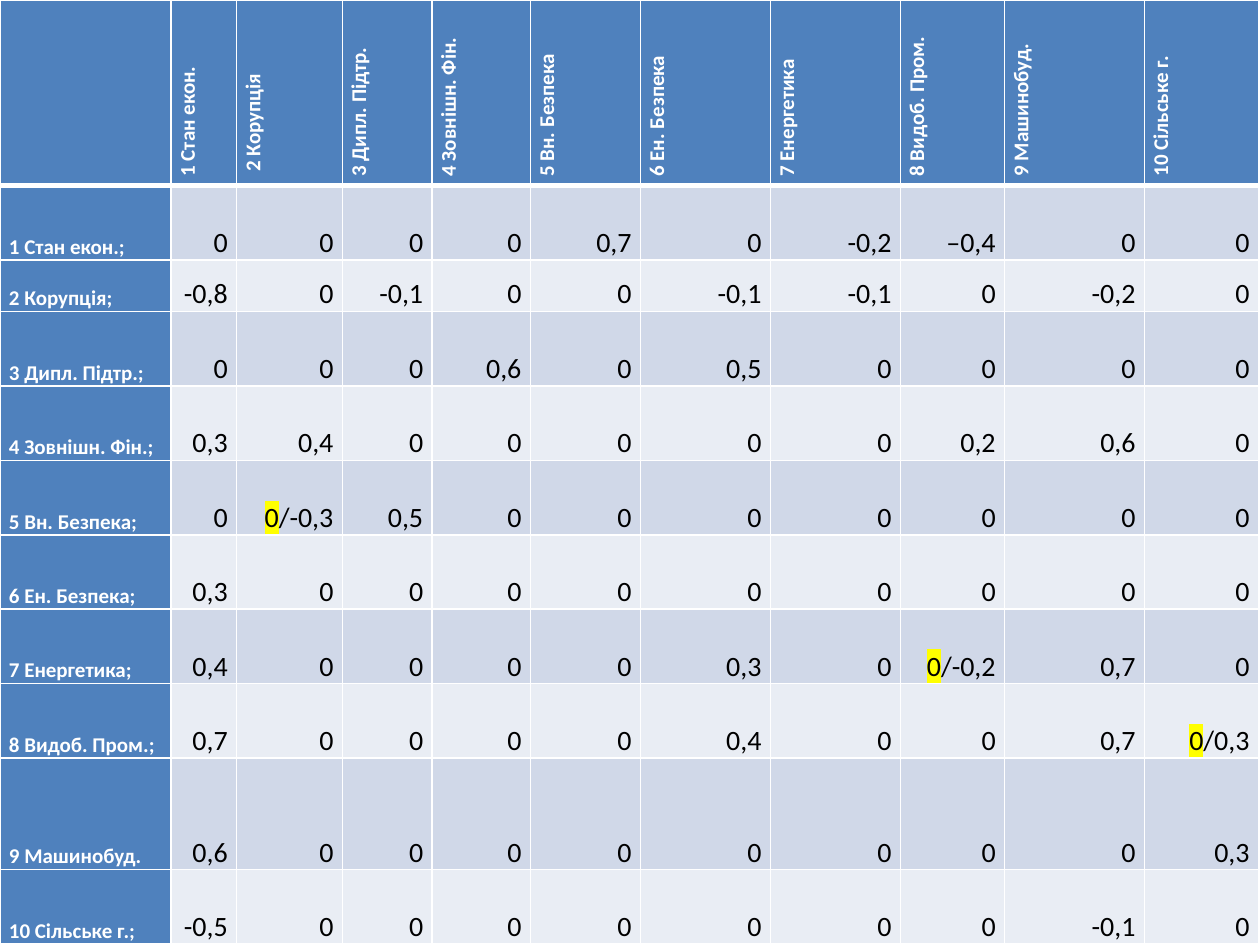
"""Build a slide with a matrix of mutual influence between ten economic factors."""
import dataclasses

import pptx
import pptx.dml.color
import pptx.enum.text
import pptx.oxml
import pptx.oxml.ns
import pptx.table
import pptx.text.text
import pptx.util

Cm = pptx.util.Cm
Pt = pptx.util.Pt


@dataclasses.dataclass(frozen=True)
class Theme:
    font: str = "Calibri"
    heading: str = "4F81BD"
    bands: tuple[str, str] = ("D0D8E8", "E9EDF4")
    light: str = "FFFFFF"
    dark: str = "000000"
    highlight: str = "FFFF00"
    heading_size: int = 12
    value_size: int = 16
    thin: float = 1
    thick: float = 3
    line_spacing: float = 1.15
    inset: float = 0.18


@dataclasses.dataclass(frozen=True)
class Factor:
    column_title: str
    row_title: str
    weights: str
    width: float
    height: float = 1.5


THEME = Theme()
PAGE_WIDTH, PAGE_HEIGHT = 25.4, 19.05
TITLE_WIDTH, TITLE_HEIGHT = 3.45, 3.74
FACTORS = [
    Factor("1 Стан екон.", "1 Стан екон.;", "0 0 0 0 0,7 0 -0,2 –0,4 0 0", 1.32),
    Factor(" 2 Корупція", "2 Корупція;", "-0,8 0 -0,1 0 0 -0,1 -0,1 0 -0,2 0", 2.13, 1.04),
    Factor("3 Дипл. Підтр.", "3 Дипл. Підтр.;", "0 0 0 0,6 0 0,5 0 0 0 0", 1.81),
    Factor("4 Зовнішн. Фін.", "4 Зовнішн. Фін.;", "0,3 0,4 0 0 0 0 0 0,2 0,6 0", 1.98),
    Factor("5 Вн. Безпека", "5 Вн. Безпека;", "0 0/-0,3 0,5 0 0 0 0 0 0 0", 2.22),
    Factor("6 Ен. Безпека", "6 Ен. Безпека;", "0,3 0 0 0 0 0 0 0 0 0", 2.62),
    Factor("7 Енергетика", "7 Енергетика;", "0,4 0 0 0 0 0,3 0 0/-0,2 0,7 0", 2.62),
    Factor("8 Видоб. Пром.", "8 Видоб. Пром.;", "0,7 0 0 0 0 0,4 0 0 0,7 0/0,3", 2.1),
    Factor("9 Машинобуд.", "9 Машинобуд.", "0,6 0 0 0 0 0 0 0 0 0,3", 2.82, 2.25),
    Factor("10 Сільське г.", "10 Сільське г.;", "-0,5 0 0 0 0 0 0 0 -0,1 0", 2.3),
]


def color(value: str) -> pptx.dml.color.RGBColor:
    """Turn a hexadecimal string into a colour."""
    return pptx.dml.color.RGBColor.from_string(value)


def draw_borders(cell: pptx.table._Cell, top: float, bottom: float) -> None:
    """Draw the four white borders of a cell."""
    properties = cell._tc.get_or_add_tcPr()
    for side, width in (("L", THEME.thin), ("R", THEME.thin), ("T", top), ("B", bottom)):
        properties.append(pptx.oxml.parse_xml(
            f'<a:ln{side} {pptx.oxml.ns.nsdecls("a")} w="{Pt(width)}"><a:solidFill>'
            f'<a:srgbClr val="{THEME.light}"/></a:solidFill></a:ln{side}>'))


def highlight(span: pptx.text.text._Run) -> None:
    """Mark a run with the highlight colour."""
    fill = span._r.get_or_add_rPr().find(pptx.oxml.ns.qn("a:solidFill"))
    fill.addnext(pptx.oxml.parse_xml(
        f'<a:highlight {pptx.oxml.ns.nsdecls("a")}>'
        f'<a:srgbClr val="{THEME.highlight}"/></a:highlight>'))


def write_cell(cell: pptx.table._Cell, text: str, is_heading: bool) -> None:
    """Write a heading or a value, highlighting the first part of a paired value."""
    cell.vertical_anchor = pptx.enum.text.MSO_ANCHOR.BOTTOM
    cell.margin_left = cell.margin_right = Cm(THEME.inset)
    cell.margin_top = cell.margin_bottom = 0
    para = cell.text_frame.paragraphs[0]
    para.line_spacing = THEME.line_spacing
    if not is_heading:
        para.alignment = pptx.enum.text.PP_ALIGN.RIGHT
    before, slash, after = text.partition("/")
    for part in filter(None, (before, slash + after)):
        span = para.add_run()
        span.text = part
        span.font.name = THEME.font
        span.font.size = Pt(THEME.heading_size if is_heading else THEME.value_size)
        span.font.bold = is_heading
        span.font.color.rgb = color(THEME.light if is_heading else THEME.dark)
    if slash:
        highlight(para.runs[0])


def fill_table(table: pptx.table.Table, widths: list[float], heights: list[float]) -> None:
    """Size the table and fill every cell from the factors."""
    for column, width in zip(table.columns, widths):
        column.width = Cm(width)
    for row, height in zip(table.rows, heights):
        row.height = Cm(height)
    lines = [[""] + [factor.column_title for factor in FACTORS]]
    lines += [[factor.row_title] + factor.weights.split() for factor in FACTORS]
    for row_index, line in enumerate(lines):
        for column_index, text in enumerate(line):
            cell = table.cell(row_index, column_index)
            is_heading = row_index == 0 or column_index == 0
            draw_borders(cell, THEME.thick if row_index == 1 else THEME.thin,
                         THEME.thick if row_index == 0 else THEME.thin)
            cell.fill.solid()
            band = THEME.bands[(row_index - 1) % 2]
            cell.fill.fore_color.rgb = color(THEME.heading if is_heading else band)
            write_cell(cell, text, is_heading)
            if row_index == 0 and text:
                cell._tc.get_or_add_tcPr().set("vert", "vert270")


def main() -> None:
    """Build and save the deck."""
    deck = pptx.Presentation()
    deck.slide_width, deck.slide_height = Cm(PAGE_WIDTH), Cm(PAGE_HEIGHT)
    page = deck.slides.add_slide(deck.slide_layouts[6])
    widths = [TITLE_WIDTH] + [factor.width for factor in FACTORS]
    heights = [TITLE_HEIGHT] + [factor.height for factor in FACTORS]
    frame = page.shapes.add_table(
        len(heights), len(widths), 0, 0, Cm(sum(widths)), Cm(sum(heights)))
    fill_table(frame.table, widths, heights)
    deck.save("out.pptx")


main()
